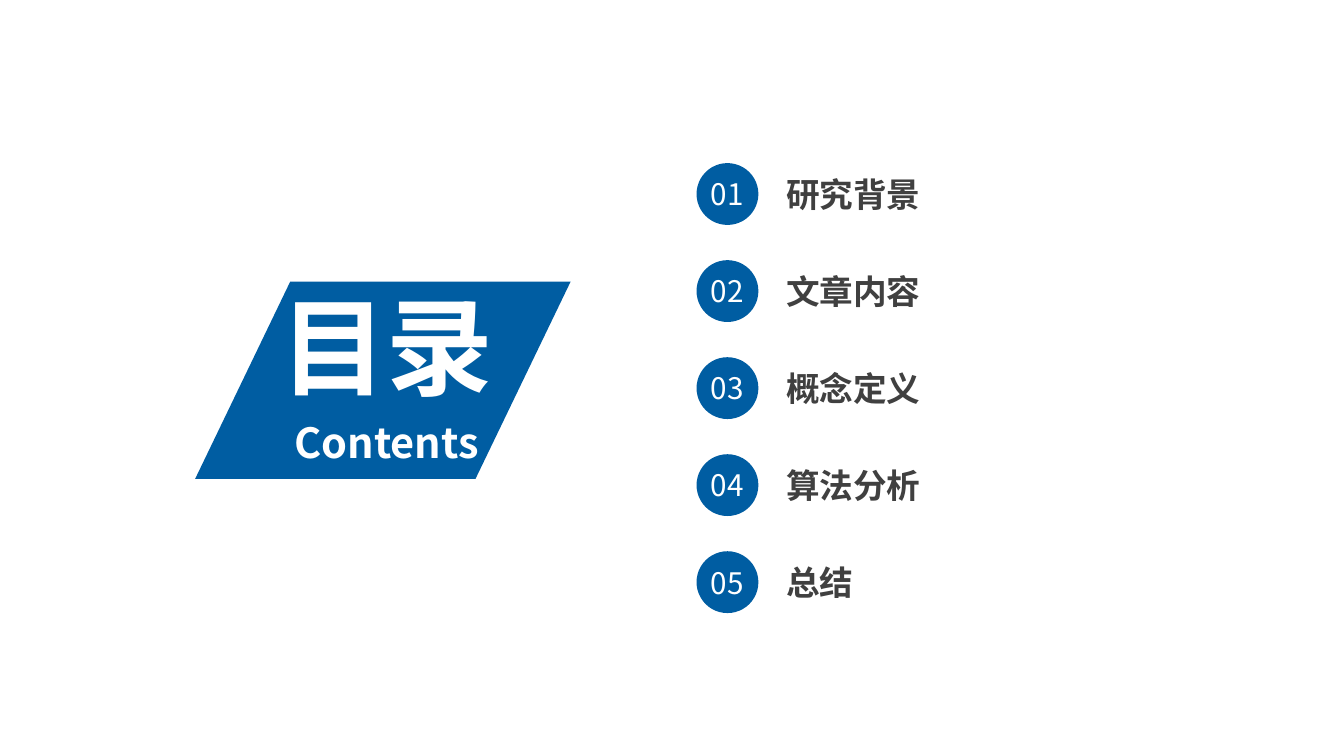
"""Build a contents slide with a title banner and five numbered sections."""
from lxml.etree import SubElement
from pptx import Presentation
from pptx.dml.color import RGBColor
from pptx.enum.shapes import MSO_SHAPE as Shape
from pptx.enum.text import MSO_ANCHOR as Anchor, MSO_AUTO_SIZE as AutoSize, PP_ALIGN as Align
from pptx.oxml.ns import qn
from pptx.util import Inches, Pt

HEADING = [("目录", 72), ("Contents", 28)]
SECTIONS = ["研究背景", "文章内容", "概念定义", "算法分析", "总结"]

FONT = "Noto Sans CJK SC"
BLUE = RGBColor(0x00, 0x5D, 0xA2)
WHITE = RGBColor(0xFF, 0xFF, 0xFF)
GREY = RGBColor(0x40, 0x40, 0x40)

SLIDE_SIZE = (12.6, 7.09)
BANNER = (1.83, 2.64, 3.52, 1.85)
HEADING_BOX = (2.39, 3.24, 2.47, 0.54)
FIRST_ROW, ROW_STEP = 1.82, 0.91
BADGE_LEFT, BADGE_SIZE = 6.53, 0.58
LABEL_LEFT, LABEL_WIDTH, LABEL_HEIGHT = 7.29, 5, 0.46


def box(*lengths):
    return [Inches(length) for length in lengths]


def add_run(paragraph, text, size, color, bold=False):
    run = paragraph.add_run()
    run.text = text
    font = run.font
    font.name, font.size, font.bold = FONT, Pt(size), bold
    font.color.rgb = color
    SubElement(font._element, qn("a:ea"), typeface=FONT)


def add_blue_shape(slide, kind, *place):
    shape = slide.shapes.add_shape(kind, *box(*place))
    shape.shadow.inherit = False
    shape.fill.solid()
    shape.fill.fore_color.rgb = BLUE
    shape.line.fill.background()
    return shape


def add_heading(slide):
    banner = add_blue_shape(slide, Shape.PARALLELOGRAM, *BANNER)
    banner.adjustments[0] = 0.482
    heading = slide.shapes.title
    heading.left, heading.top, heading.width, heading.height = box(*HEADING_BOX)
    banner._element.addnext(heading._element)
    frame = heading.text_frame
    frame.auto_size = AutoSize.NONE
    frame.vertical_anchor = Anchor.MIDDLE
    for index, (text, size) in enumerate(HEADING):
        paragraph = frame.add_paragraph() if index else frame.paragraphs[0]
        paragraph.alignment = Align.CENTER
        paragraph.space_before = Pt(size * 0.2)
        add_run(paragraph, text, size, WHITE, bold=True)


def add_section(slide, index, name):
    middle = FIRST_ROW + index * ROW_STEP
    badge = add_blue_shape(slide, Shape.OVAL, BADGE_LEFT, middle - BADGE_SIZE / 2,
                           BADGE_SIZE, BADGE_SIZE)
    number = badge.text_frame
    number.word_wrap = False
    number.vertical_anchor = Anchor.MIDDLE
    number.paragraphs[0].alignment = Align.CENTER
    add_run(number.paragraphs[0], f"{index + 1:02}", 20, WHITE)

    label = slide.shapes.add_textbox(
        *box(LABEL_LEFT, middle - LABEL_HEIGHT / 2, LABEL_WIDTH, LABEL_HEIGHT)).text_frame
    label.word_wrap = True
    label.margin_left = label.margin_right = Inches(0.08)
    label.margin_top = label.margin_bottom = Inches(0.04)
    add_run(label.paragraphs[0], name, 22.7, GREY, bold=True)


def main():
    deck = Presentation()
    deck.slide_width, deck.slide_height = box(*SLIDE_SIZE)
    slide = deck.slides.add_slide(deck.slide_layouts.get_by_name("Title Only"))
    add_heading(slide)
    for index, name in enumerate(SECTIONS):
        add_section(slide, index, name)
    deck.save("out.pptx")


if __name__ == "__main__":
    main()
